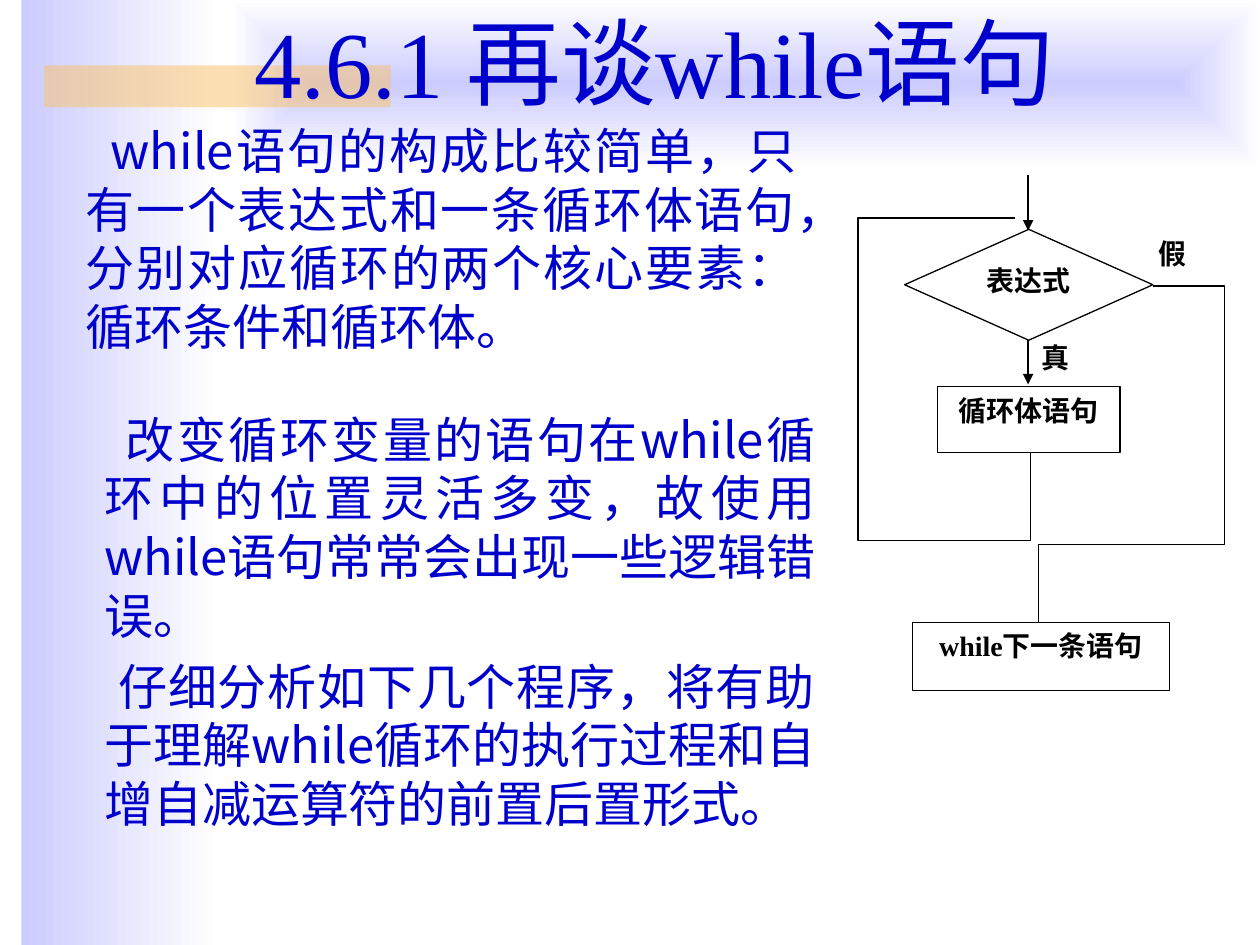
from lxml.etree import SubElement
from pptx import Presentation
from pptx.dml.color import RGBColor as RGB
from pptx.enum.shapes import MSO_CONNECTOR as CONN, MSO_SHAPE as SHAPE
from pptx.enum.text import MSO_ANCHOR as ANCHOR, PP_ALIGN as ALIGN
from pptx.oxml.ns import qn
from pptx.util import Inches, Pt

COLORS = {"ink": "0000CC", "black": "000000", "white": "FFFFFF", "lilac": "CCCCFF", "amber": "FAC164"}
SERIF, SANS = "Times New Roman", "Noto Sans CJK SC"
TITLE = {"name": SERIF, "size": Pt(54), "color": "ink"}
BODY = {"name": SANS, "size": Pt(28), "color": "ink"}
LABEL = {"name": SERIF, "size": Pt(16), "bold": True, "color": "black"}


class SlideBuilder:
    """Draws styled elements on the current slide."""

    def __init__(self, prs):
        self.s = prs.slides.add_slide(prs.slide_layouts[6])

    def rgb(self, name):
        return RGB.from_string(COLORS[name])

    def add_text(self, p, text, style, align):
        p.alignment = align
        r = p.add_run()
        r.text = text
        for key, value in style.items():
            if key == "color":
                r.font.color.rgb = self.rgb(value)
            else:
                setattr(r.font, key, value)
        SubElement(r._r.get_or_add_rPr(), qn("a:ea"), typeface=SANS)

    def shape(self, box, fill=None, line=None, text=None, kind=SHAPE.RECTANGLE):
        sp = self.s.shapes.add_shape(kind, *map(Inches, box))
        sp.shadow.inherit = False
        if fill:
            sp.fill.solid()
            sp.fill.fore_color.rgb = self.rgb(fill)
        self.outline(sp, line)
        if text:
            tf = sp.text_frame
            tf.word_wrap, tf.vertical_anchor = True, ANCHOR.TOP
            self.add_text(tf.paragraphs[0], text, LABEL, ALIGN.CENTER)
        return sp

    def outline(self, sp, color):
        if color:
            sp.line.color.rgb = self.rgb(color)
            sp.line.width = Pt(0.75)
        else:
            sp.line.fill.background()

    def gradient(self, box, radial=False):
        fill = self.shape(box).fill
        fill.gradient()
        fill.gradient_angle = 0
        for stop, name in zip(fill.gradient_stops, ("lilac", "white")):
            stop.color.rgb = self.rgb(name)
        if radial:
            lin = next(self.s.shapes[-1]._element.spPr.iter(qn("a:lin")))
            grad = lin.getparent()
            grad.remove(lin)
            rings = SubElement(grad, qn("a:path"), {"path": "rect"})
            SubElement(rings, qn("a:fillToRect"), {side: "50000" for side in "ltrb"})

    def band(self, box, fill, opacity):
        sp = self.shape(box, fill)
        color = next(sp._element.spPr.iter(qn("a:srgbClr")))
        SubElement(color, qn("a:alpha"), val=str(opacity * 1000))

    def title(self, box, text):
        tf = self.s.shapes.add_textbox(*map(Inches, box)).text_frame
        tf.word_wrap, tf.vertical_anchor = True, ANCHOR.MIDDLE
        self.add_text(tf.paragraphs[0], text, TITLE, ALIGN.CENTER)

    def body(self, box, items):
        tf = self.s.shapes.add_textbox(*map(Inches, box)).text_frame
        tf.word_wrap = True
        for i, (indent, text) in enumerate(items):
            p = tf.add_paragraph() if i else tf.paragraphs[0]
            p.line_spacing = Pt(33.5)
            p.space_before = Pt(7 if i else 0)
            pPr = p._p.get_or_add_pPr()
            pPr.set("marL", str(Inches(0.38)))
            pPr.set("indent", str(Inches(indent)))
            self.add_text(p, text, BODY, ALIGN.JUSTIFY)

    def arrow(self, x, top, bottom):
        c = self.s.shapes.add_connector(CONN.STRAIGHT, *map(Inches, (x, top, x, bottom)))
        self.outline(c, "black")
        spPr = c._element.spPr
        SubElement(spPr.find(qn("a:ln")), qn("a:tailEnd"), type="triangle")
        SubElement(spPr, qn("a:effectLst"))

    def route(self, points):
        pts = [tuple(map(Inches, pt)) for pt in points]
        fb = self.s.shapes.build_freeform(*pts[0])
        fb.add_line_segments(pts[1:], close=False)
        sp = fb.convert_to_shape()
        sp.shadow.inherit = False
        sp.fill.background()
        self.outline(sp, "black")


def main():
    prs = Presentation()
    prs.slide_width, prs.slide_height = Inches(10), Inches(7.5)
    b = SlideBuilder(prs)

    b.gradient((0.17, 0, 1.58, 7.5))
    b.gradient((1.83, 0, 8.17, 1.33), radial=True)
    b.band((0.35, 0.52, 2.75, 0.33), "amber", 50)
    b.title((0.75, -0.03, 8.89, 1.02), "4.6.1 再谈while语句")
    b.body((0.2, 0.91, 6.22, 2.05), [
        (0.2, "while语句的构成比较简单，只有一个表达式和一条循环体语句，分别对应循环的两个核心要素：循环条件和循环体。"),
    ])

    for box, text in (((7.79, 2.65, 1.17, 0.54), "真"), ((8.81, 1.83, 0.99, 0.54), "假")):
        b.shape(box, "white", text=text)
    for top, bottom in ((2.69, 3.05), (1.39, 1.83)):
        b.arrow(8.16, top, bottom)
    for box, text, kind in (
        ((7.24, 4.94, 2.04, 0.54), "while下一条语句", SHAPE.RECTANGLE),
        ((7.18, 1.82, 1.97, 0.88), "表达式", SHAPE.FLOWCHART_DECISION),
        ((7.44, 3.07, 1.45, 0.52), "循环体语句", SHAPE.RECTANGLE),
    ):
        b.shape(box, "white", "black", text, kind)
    b.route([(9.15, 2.27), (9.72, 2.27), (9.72, 4.32), (8.24, 4.32), (8.24, 4.94)])
    b.route([(8.18, 3.59), (8.18, 4.29), (6.81, 4.29), (6.81, 1.73), (8.06, 1.73)])

    b.body((0.35, 3.2, 6.22, 4.02), [
        (0.17, "改变循环变量的语句在while循环中的位置灵活多变，故使用while语句常常会出现一些逻辑错误。"),
        (0.11, "仔细分析如下几个程序，将有助于理解while循环的执行过程和自增自减运算符的前置后置形式。"),
    ])
    prs.save("out.pptx")


if __name__ == "__main__":
    main()
